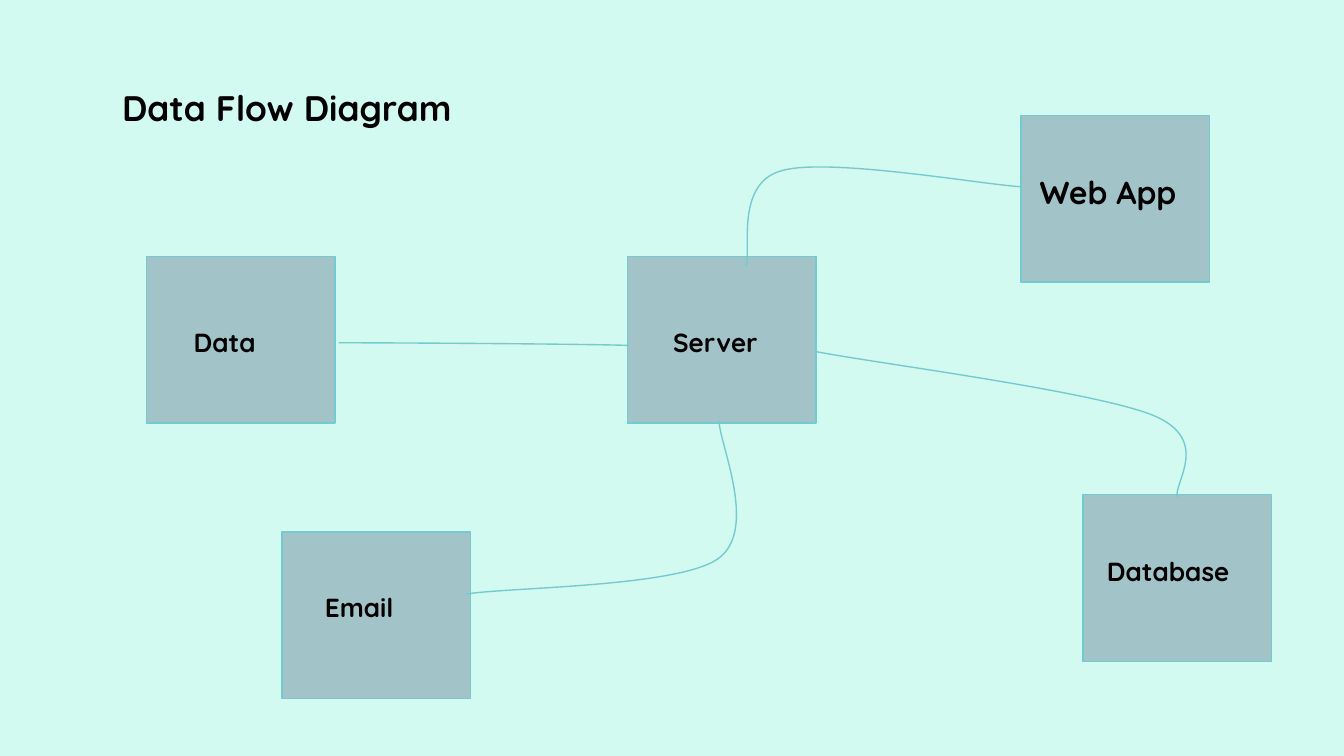
from dataclasses import dataclass

from lxml import etree
from pptx import Presentation
from pptx.dml.color import RGBColor
from pptx.enum.shapes import MSO_SHAPE
from pptx.oxml.ns import qn
from pptx.util import Cm, Pt

RECT = MSO_SHAPE.RECTANGLE


@dataclass(frozen=True)
class Theme:
    """Colours, font and sizes shared by the slide."""
    background: RGBColor = RGBColor(0xD2, 0xFA, 0xF0)
    node: RGBColor = RGBColor(0xA2, 0xC4, 0xC9)
    line: RGBColor = RGBColor(0x74, 0xCB, 0xCF)
    text: RGBColor = RGBColor(0, 0, 0)
    font: str = "Quicksand"
    title: int = 19
    large: int = 17
    label: int = 14
    line_width: float = 0.75


THEME = Theme()
NODE_SIZE = (3.56, 3.15)
TITLE_BOX = (2.06, 1.37, 15.82, 1.85)

NODES = [
    ("Email", (5.33, 10.06), (0.56, 0.86, 1.93, 1.04), THEME.label),
    ("Server", (11.86, 4.85), (0.61, 1.07, 3.07, 1.04), THEME.label),
    ("Database", (20.47, 9.35), (0.2, 0.89, 3.33, 2.77), THEME.label),
    ("Web App", (19.3, 2.18), (0.1, 0.84, 3.33, 1.27), THEME.large),
    ("Data", (2.77, 4.85), (0.64, 1.07, 1.93, 1.04), THEME.label),
]

WEB_APP_FLOW = [(19.28, 3.53), (18.52, 3.48), (15.62, 2.97), (14.76, 3.23),
                (13.89, 3.48), (14.2, 4.75), (14.1, 5.03)]
EMAIL_FLOW = [(13.59, 7.95), (13.59, 8.38), (14.35, 10.03), (13.56, 10.57),
              (12.78, 11.1), (9.6, 11.1), (8.81, 11.23)]
DATABASE_FLOW = [(22.25, 9.4), (22.17, 9.14), (22.91, 8.31), (21.79, 7.85),
                 (20.65, 7.39), (16.51, 6.86), (15.44, 6.65)]
DATA_FLOW = [(6.4, 6.48), (7.32, 6.48), (10.97, 6.5), (11.89, 6.53)]
FLOWS = [WEB_APP_FLOW, EMAIL_FLOW, DATABASE_FLOW, DATA_FLOW]


def style_line(sp):
    """Give a shape the diagram's outline and no shadow."""
    sp.shadow.inherit = False
    sp.line.color.rgb = THEME.line
    sp.line.width = Pt(THEME.line_width)


def add_text(s, text, box, size):
    """Place bold text in the given box."""
    tf = s.shapes.add_textbox(*map(Cm, box)).text_frame
    tf.word_wrap = True
    tf.margin_left = tf.margin_right = tf.margin_top = tf.margin_bottom = Cm(0.25)
    p = tf.paragraphs[0]
    p.text = text
    font = p.runs[0].font
    font.name, font.size, font.bold = THEME.font, Pt(size), True
    font.color.rgb = THEME.text


def add_node(s, text, origin, label_box, size):
    """Draw a node at its origin with a label placed relative to it."""
    sp = s.shapes.add_shape(RECT, *map(Cm, origin + NODE_SIZE))
    sp.fill.solid()
    sp.fill.fore_color.rgb = THEME.node
    style_line(sp)
    left, top = origin
    dx, dy, width, height = label_box
    add_text(s, text, (left + dx, top + dy, width, height), size)


def add_flow(s, points):
    """Draw a smooth line from a start point and groups of three Bezier points."""
    start, *rest = [(Cm(x), Cm(y)) for x, y in points]
    builder = s.shapes.build_freeform(*start)
    builder.add_line_segments(rest, close=False)
    sp = builder.convert_to_shape()
    sp.fill.background()
    style_line(sp)
    segments = list(sp.element.iter(qn("a:lnTo")))
    outline = segments[0].getparent()
    for i in range(0, len(segments), 3):
        curve = etree.SubElement(outline, qn("a:cubicBezTo"))
        for segment in segments[i:i + 3]:
            curve.append(segment[0])
            outline.remove(segment)


def add_diagram(s):
    """Draw the nodes and the flows between them."""
    for node in NODES:
        add_node(s, *node)
    for points in FLOWS:
        add_flow(s, points)


def main():
    """Build and save the slide."""
    prs = Presentation()
    prs.slide_width, prs.slide_height = Cm(25.4), Cm(14.29)
    s = prs.slides.add_slide(prs.slide_layouts[6])
    s.background.fill.solid()
    s.background.fill.fore_color.rgb = THEME.background
    add_text(s, "Data Flow Diagram", TITLE_BOX, THEME.title)
    add_diagram(s)
    prs.save("out.pptx")


if __name__ == "__main__":
    main()
